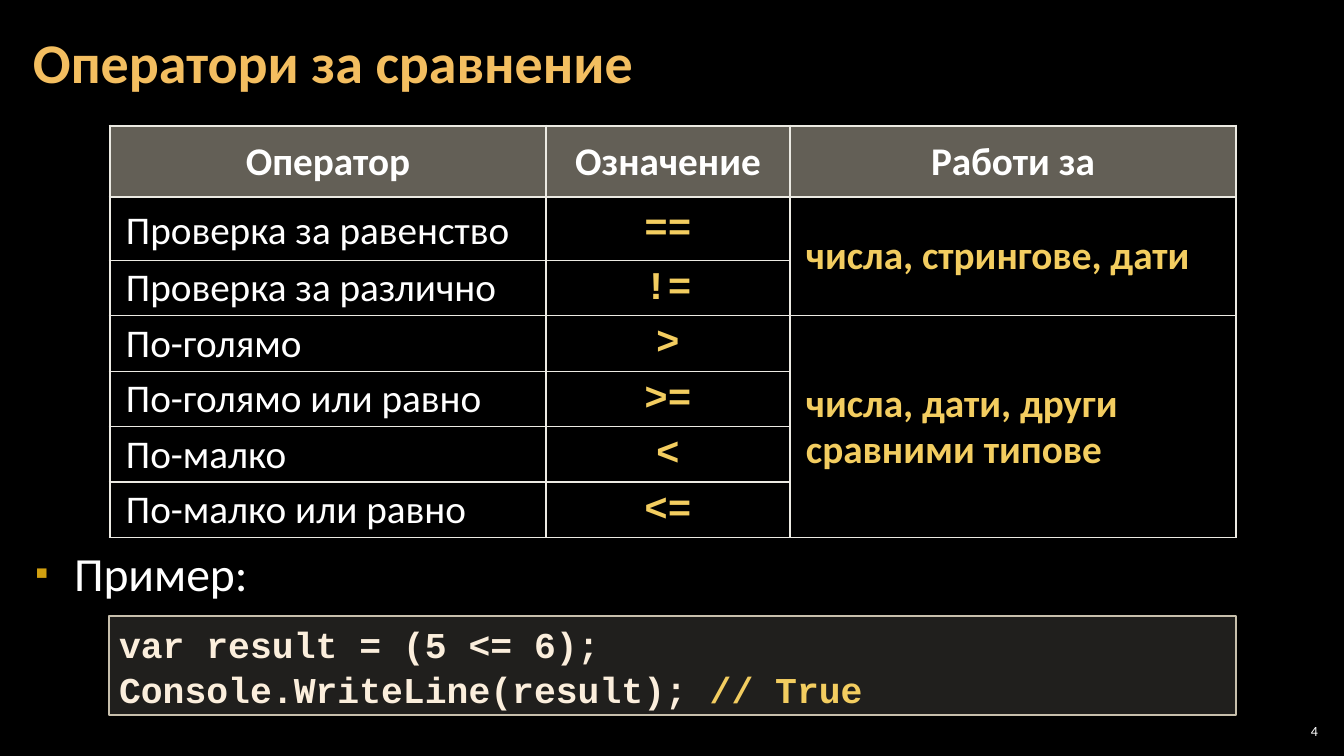
from dataclasses import dataclass

from lxml.etree import SubElement
from pptx import Presentation
from pptx.dml.color import RGBColor as Rgb
from pptx.enum.shapes import MSO_SHAPE as Shape
from pptx.enum.text import MSO_ANCHOR as Anchor, MSO_AUTO_SIZE as Fit, PP_ALIGN as Align
from pptx.oxml.ns import qn
from pptx.util import Emu, Pt

SCALE = 12192000 / 1344


@dataclass(frozen=True)
class Theme:
    sans: str = "Calibri"
    mono: str = "Courier New"
    back: str = "000000"
    white: str = "FFFFFF"
    gold: str = "F3BE60"
    yellow: str = "F3CD60"
    cream: str = "FBEEDC"
    bullet: str = "D2A010"
    rule: str = "ECEAE3"
    head: str = "C7BFAC"
    panel: str = "D9D5C7"
    title: int = 40
    body: int = 34
    cell: int = 28
    code: int = 26
    page: int = 10
    thin: float = 1
    thick: float = 2.25


def px(count):
    return Emu(round(count * SCALE))


def write(para, text, face, size, color, bold=False, align=Align.LEFT, line=None):
    para.alignment = align
    if line:
        para.line_spacing = line
    run = para.add_run()
    run.text = text
    font = run.font
    font.name, font.size, font.bold = face, Pt(size), bold
    font.color.rgb = Rgb.from_string(color)


def paint(fill, props, color, alpha):
    fill.solid()
    fill.fore_color.rgb = Rgb.from_string(color)
    tone = props.find(qn("a:solidFill")).find(qn("a:srgbClr"))
    SubElement(tone, qn("a:alpha"), val=str(alpha * 1000))


def border(props, side, color, width):
    line = SubElement(props, qn(f"a:ln{side}"), w=str(Pt(width)))
    SubElement(SubElement(line, qn("a:solidFill")), qn("a:srgbClr"), val=color)


class Deck:
    def __init__(self, theme):
        self.theme = theme
        self.show = Presentation()
        self.show.slide_width, self.show.slide_height = px(1344), px(756)
        self.slide = self.show.slides.add_slide(self.show.slide_layouts[1])
        fill = self.slide.background.fill
        fill.solid()
        fill.fore_color.rgb = Rgb.from_string(theme.back)

    def place(self, shape, box, anchor, inset=(10, 5)):
        shape.left, shape.top, shape.width, shape.height = map(px, box)
        frame = shape.text_frame
        frame.word_wrap, frame.auto_size = True, Fit.NONE
        frame.vertical_anchor = anchor
        frame.margin_left = frame.margin_right = px(inset[0])
        frame.margin_top = frame.margin_bottom = px(inset[1])
        return frame

    def title(self, text, box):
        look = self.theme
        frame = self.place(self.slide.shapes.title, box, Anchor.MIDDLE, (12, 4))
        write(frame.paragraphs[0], text, look.sans, look.title, look.gold, bold=True, line=0.9)

    def body(self, text, box):
        look = self.theme
        frame = self.place(self.slide.placeholders[1], box, Anchor.TOP)
        para = frame.paragraphs[0]
        para.space_before = para.space_after = Pt(6)
        write(para, text, look.sans, look.body, look.white, line=Pt(38))
        props = para._p.get_or_add_pPr()
        props.set("marL", str(px(39)))
        props.set("indent", str(-px(39)))
        SubElement(SubElement(props, qn("a:buClr")), qn("a:srgbClr"), val=look.bullet)
        SubElement(props, qn("a:buSzPct"), val="80000")
        SubElement(props, qn("a:buChar"), char="▪")

    def page(self, text, box):
        look = self.theme
        note = self.slide.shapes.add_textbox(*map(px, box))
        frame = self.place(note, box, Anchor.MIDDLE, (4, 4))
        write(frame.paragraphs[0], text, look.sans, look.page, look.white, align=Align.RIGHT)

    def code(self, lines, box):
        look = self.theme
        panel = self.slide.shapes.add_shape(Shape.RECTANGLE, *map(px, box))
        panel.shadow.inherit = False
        paint(panel.fill, panel.element.spPr, look.panel, 15)
        panel.line.color.rgb = Rgb.from_string(look.head)
        panel.line.width = Pt(look.thin)
        frame = self.place(panel, box, Anchor.MIDDLE)
        for index, runs in enumerate(lines):
            para = frame.add_paragraph() if index else frame.paragraphs[0]
            for text, color in runs:
                write(para, text, look.mono, look.code, color, bold=True, line=Pt(32))

    def table(self, rows, spans, left, top, widths, heights):
        look = self.theme
        size = (sum(widths), sum(heights))
        grid = self.slide.shapes.add_table(
            len(rows), len(widths), *map(px, (left, top, *size))).table
        grid.first_row = grid.horz_banding = False
        for col, width in zip(grid.columns, widths):
            col.width = px(width)
        for row, height in zip(grid.rows, heights):
            row.height = px(height)
        edges = (look.thick, look.thin, look.thick, look.thick)
        levels = [look.thick] * 2 + [look.thin] * (len(rows) - 1)
        styles = (
            dict(face=look.sans, color=look.white),
            dict(face=look.mono, color=look.yellow, bold=True, align=Align.CENTER),
            dict(face=look.sans, color=look.yellow, bold=True),
        )
        header = dict(face=look.sans, color=look.white, bold=True, align=Align.CENTER)
        for y, row in enumerate(rows):
            for x, text in enumerate(row):
                cell = grid.cell(y, x)
                cell.vertical_anchor = Anchor.MIDDLE
                cell.margin_left = cell.margin_right = px(16)
                cell.margin_top = cell.margin_bottom = px(5)
                props = cell._tc.get_or_add_tcPr()
                sides = (edges[x], edges[x + 1], levels[y], levels[y + 1])
                for side, width in zip("LRTB", sides):
                    border(props, side, look.rule, width)
                if y == 0:
                    paint(cell.fill, props, look.head, 50)
                else:
                    cell.fill.background()
                if text:
                    line = Pt(38) if (y, x) == (1, 0) else 0.95
                    style = styles[x] if y else header
                    write(cell.text_frame.paragraphs[0], text, size=look.cell, line=line, **style)
        for first, last in spans:
            grid.cell(first, 2).merge(grid.cell(last, 2))


def main():
    look = Theme()
    deck = Deck(look)
    deck.page("4", (1275, 720, 47, 21))
    rows = (
        ("Оператор", "Означение", "Работи за"),
        ("Проверка за равенство", "==", "числа, стрингове, дати"),
        ("Проверка за различно", "!=", ""),
        ("По-голямо", ">", "числа, дати, други сравними типове"),
        ("По-голямо или равно", ">=", ""),
        ("По-малко", "<", ""),
        ("По-малко или равно", "<=", ""),
    )
    deck.table(rows, ((1, 2), (3, 6)), 110, 126, (436, 244, 446), (71, 63) + (55,) * 5)
    deck.title("Оператори за сравнение", (21, 4, 1055, 122))
    lines = (
        (("var result = (5 <= 6);", look.cream),),
        (("Console.WriteLine(result); ", look.cream), ("// True", look.yellow)),
    )
    deck.code(lines, (109, 616, 1127, 99))
    deck.body("Пример:", (25, 543, 958, 76))
    deck.show.save("out.pptx")


if __name__ == "__main__":
    main()
